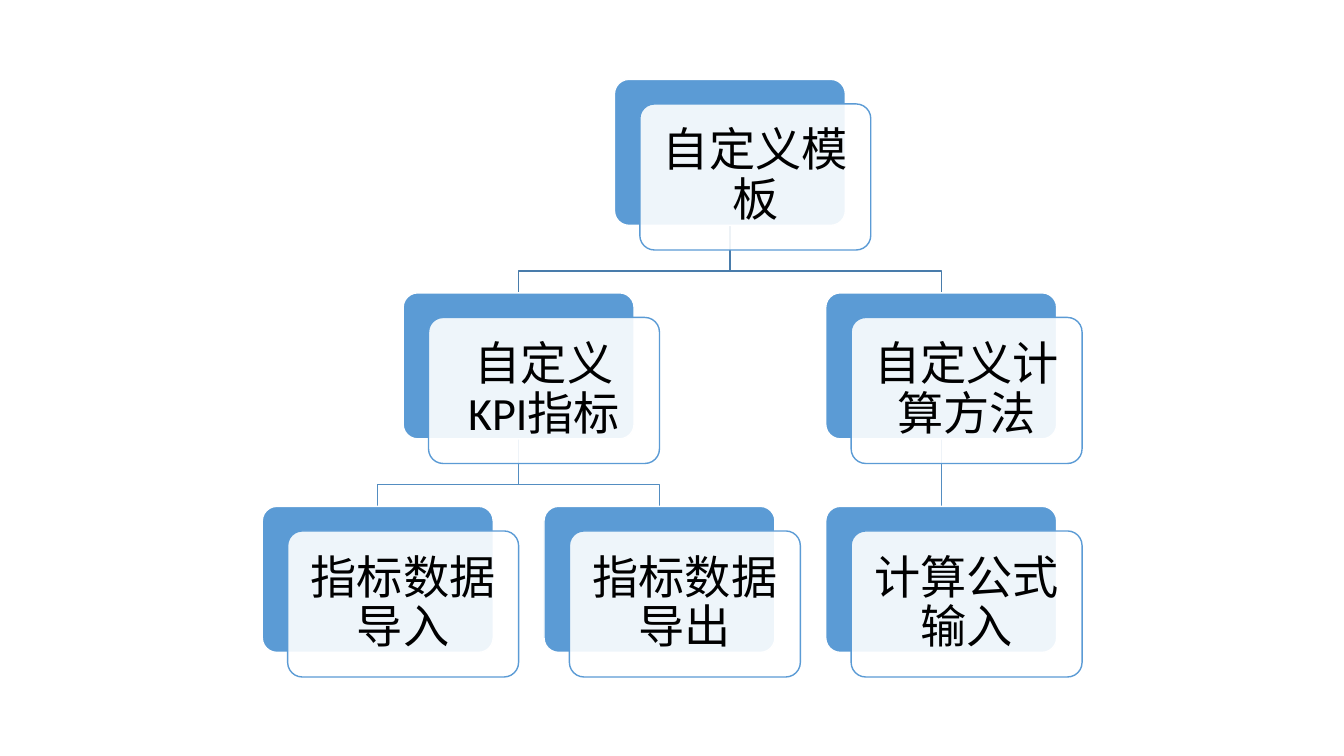
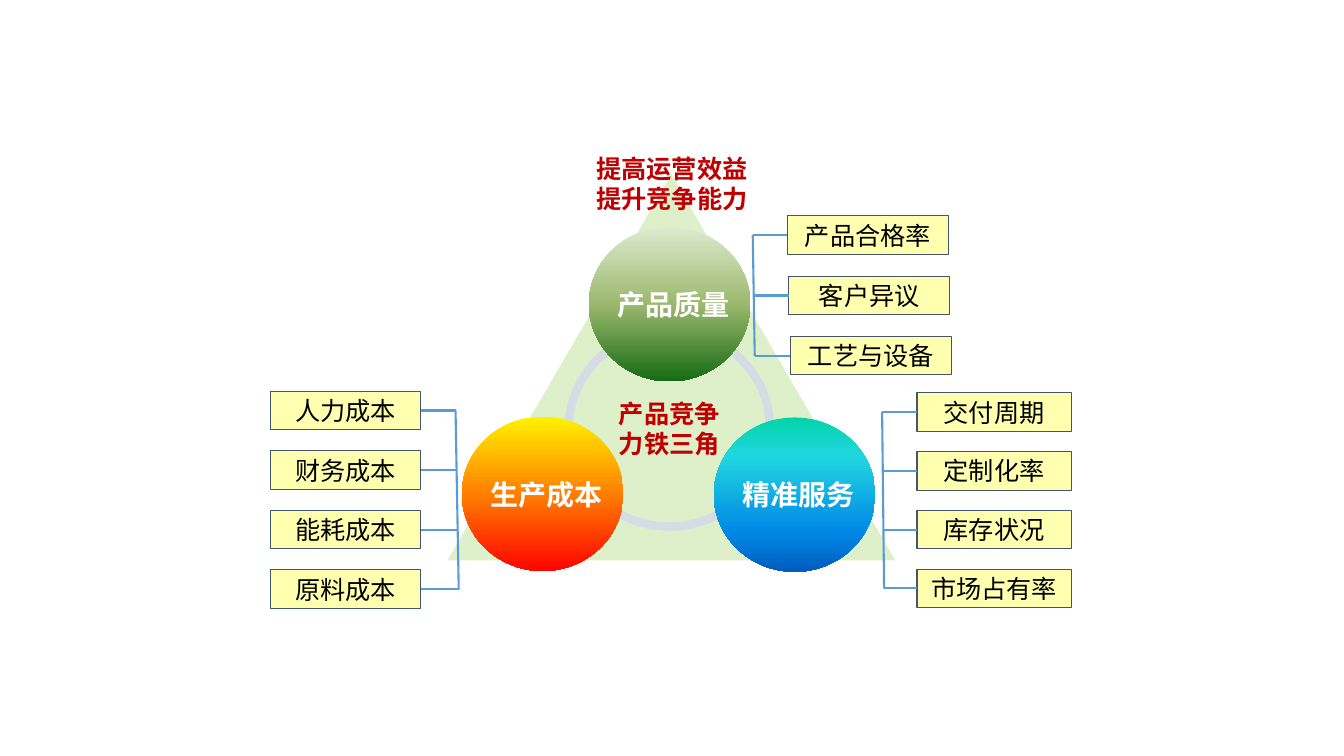
from lxml.etree import SubElement as Sub
from pptx import Presentation
from pptx.dml.color import RGBColor
from pptx.enum.shapes import MSO_CONNECTOR as Link, MSO_SHAPE as Kind
from pptx.enum.text import MSO_ANCHOR as Anchor, PP_ALIGN as Align
from pptx.oxml.ns import qn
from pptx.util import Cm, Pt

BLUE, WHITE, BLACK, RED = "5B9BD5", "FFFFFF", "000000", "C00000"
NOTO = "Noto Sans CJK SC"


def paint(fill, tone, alpha=100):
    fill.solid()
    fill.fore_color.rgb = RGBColor.from_string(tone)
    if alpha < 100:
        clr = fill._xPr.find(qn("a:solidFill"))[0]
        Sub(clr, qn("a:alpha"), val=str(alpha * 1000))


def write(shape, text, size, font, tone, bold=False, wrap=True, align=Align.CENTER):
    frame = shape.text_frame
    frame.text = text
    frame.word_wrap = wrap
    for para in frame.paragraphs:
        para.alignment = align
        para.font.size = Pt(size)
        para.font.name = font
        para.font.bold = bold
        paint(para.font.fill, tone)
    return frame


deck = Presentation()
deck.slide_width, deck.slide_height = Cm(33.87), Cm(19.05)
blank = deck.slide_layouts[6]

tree = deck.slides.add_slide(blank).shapes
wide, high, col, row = 5.82, 3.68, 7.1, 5.38
left, top = 6.61, 2.0
cards = [
    ("自定义模板", 1.25, 0, None),
    ("自定义KPI指标", 0.5, 1, 0),
    ("指标数据导入", 0, 2, 1),
    ("指标数据导出", 1, 2, 1),
    ("自定义计算方法", 2, 1, 0),
    ("计算公式输入", 2, 2, 4),
]

for text, pos, level, up in cards[1:]:
    mid = left + pos * col + wide / 2
    start = left + cards[up][1] * col + wide / 2
    end = top + level * row
    base = end - row + high
    bend = base + 1.15
    path = tree.build_freeform(Cm(start), Cm(base))
    path.add_line_segments(
        [(Cm(start), Cm(bend)), (Cm(mid), Cm(bend)), (Cm(mid), Cm(end))], close=False)
    wire = path.convert_to_shape()
    wire.fill.background()
    paint(wire.line.fill, "497CAB" if level == 1 else "538DC1")
    wire.line.width = Pt(1)

for text, pos, level, up in cards:
    x, y = left + pos * col, top + level * row
    for dx, dy, tone, edge, alpha in [(0, 0, BLUE, WHITE, 100), (0.64, 0.62, WHITE, BLUE, 90)]:
        card = tree.add_shape(
            Kind.ROUNDED_RECTANGLE, Cm(x + dx), Cm(y + dy), Cm(wide), Cm(high))
        card.adjustments[0] = 0.1
        paint(card.fill, tone, alpha)
        paint(card.line.fill, edge)
        card.line.width = Pt(1)
    frame = write(card, text, 33, "Calibri", BLACK)
    frame.vertical_anchor = Anchor.MIDDLE
    frame.margin_left = frame.margin_right = Cm(0.46)
    frame.margin_top = frame.margin_bottom = Cm(0.46)
    frame.paragraphs[0].line_spacing = 0.9

plan = deck.slides.add_slide(blank).shapes
cone = plan.add_shape(Kind.ISOSCELES_TRIANGLE, Cm(11.24), Cm(4.35), Cm(11.36), Cm(9.79))
paint(cone.fill, "92D050", 30)
paint(cone.line.fill, WHITE)
cone.line.width = Pt(1)

ring = plan.add_shape(Kind.OVAL, Cm(14.33), Cm(8.32), Cm(5.08), Cm(4.95))
ring.fill.background()
paint(ring.line.fill, "D6DCE5")
ring.line.width = Pt(6)
write(ring, "产品竞争力铁三角", 18, NOTO, RED, True).vertical_anchor = Anchor.MIDDLE

balls = [
    ("产品质量", 14.84, 5.72, [(0, "DDEBCF"), (50, "9CB86E"), (100, "156B13")]),
    ("生产成本", 11.64, 10.5, [(0, "FFF200"), (52, "FF7A00"), (100, "FF0300")]),
    ("精准服务", 17.99, 10.52,
     [(0, "03D4A8"), (25, "21D6E0"), (75, "0087E6"), (100, "005CBF")]),
]
for text, x, y, stops in balls:
    ball = plan.add_shape(Kind.OVAL, Cm(x), Cm(y), Cm(4.07), Cm(3.89))
    ball.fill.gradient()
    ball.fill.gradient_angle = 270
    ramp = ball._element.spPr.find(qn("a:gradFill")).find(qn("a:gsLst"))
    ramp.clear()
    for place, tone in stops:
        stop = Sub(ramp, qn("a:gs"), pos=str(place * 1000))
        Sub(stop, qn("a:srgbClr"), val=tone)
    ball.line.fill.background()
    frame = write(ball, text, 20, NOTO, WHITE, True, False)
    frame.vertical_anchor = Anchor.MIDDLE
    frame.margin_left = Cm(0.2)
    frame.margin_right = frame.margin_top = frame.margin_bottom = 0

tall = 0.97
groups = [
    (["人力成本", "财务成本", "能耗成本", "原料成本"], 6.82, 0, 9.86, 1.5, 3.79, 11.48, 11.56),
    (["产品合格率", "客户异议", "工艺与设备"], 19.84, 0.04, 5.44, 1.52, 4.06, 18.97, 19.02),
    (["交付周期", "定制化率", "库存状况", "市场占有率"], 23.11, 0, 9.9, 1.48, 3.89, 22.23, 22.28),
]
for names, x, drift, y, step, width, head, foot in groups:
    last = len(names) - 1
    mid = y + tall / 2
    lines = [(head, mid, foot, mid + last * step)]
    for i, name in enumerate(names):
        edge = x + i * drift
        box = plan.add_shape(
            Kind.RECTANGLE, Cm(edge), Cm(y + i * step), Cm(width), Cm(tall))
        paint(box.fill, "FFFF00", 31)
        paint(box.line.fill, "44546A")
        box.line.width = Pt(0.75)
        frame = write(box, name, 18, "Arial", BLACK, wrap=False)
        frame.vertical_anchor = Anchor.MIDDLE
        stem = head + (foot - head) * i / last
        side = edge + width if edge < stem else edge
        lines.append((stem, mid + i * step, side, mid + i * step))
    for ends in lines:
        wire = plan.add_connector(Link.STRAIGHT, *[Cm(v) for v in ends])
        paint(wire.line.fill, BLUE)
        wire.line.width = Pt(1.5)

goal = plan.add_textbox(Cm(14.78), Cm(3.73), Cm(4.65), Cm(1.8))
write(goal, "提高运营效益\n提升竞争能力", 18, "Arial", RED, True, align=Align.LEFT)

for slide in deck.slides:
    for item in slide.shapes:
        Sub(item._element.spPr, qn("a:effectLst"))

deck.save("out.pptx")
